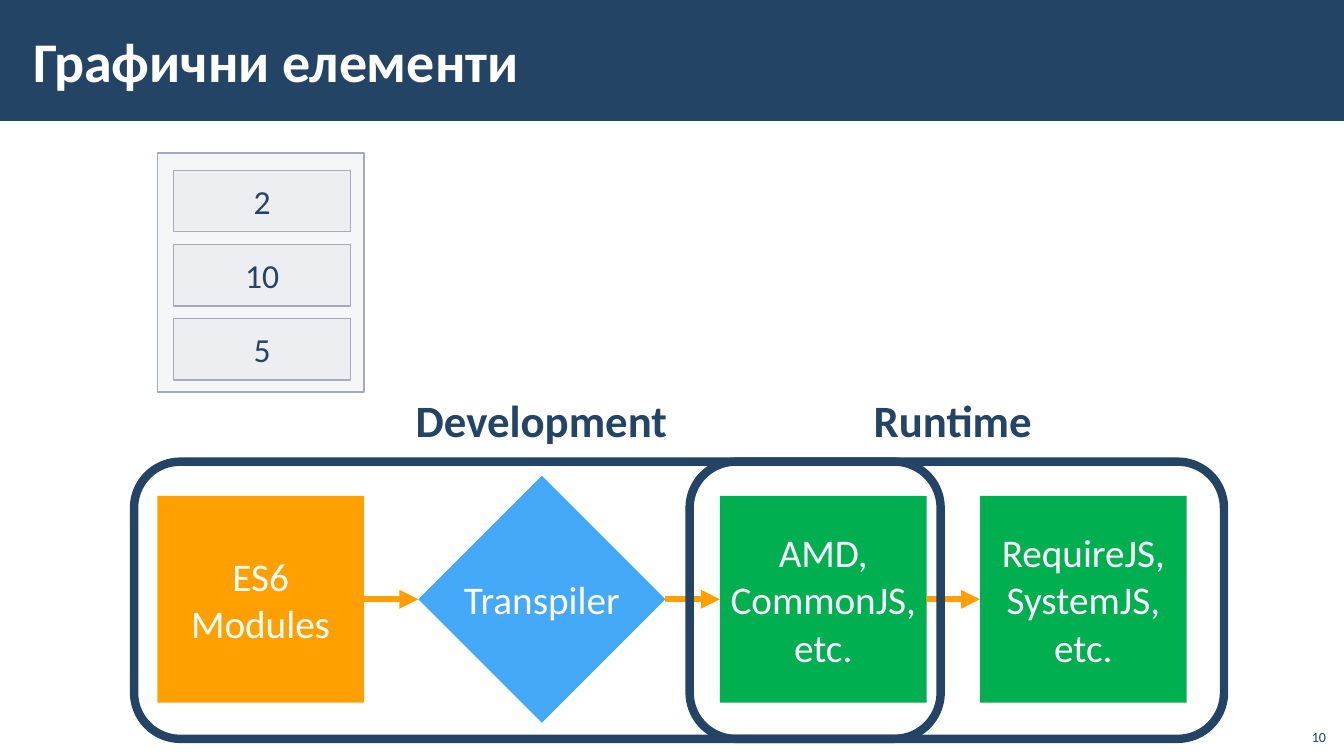
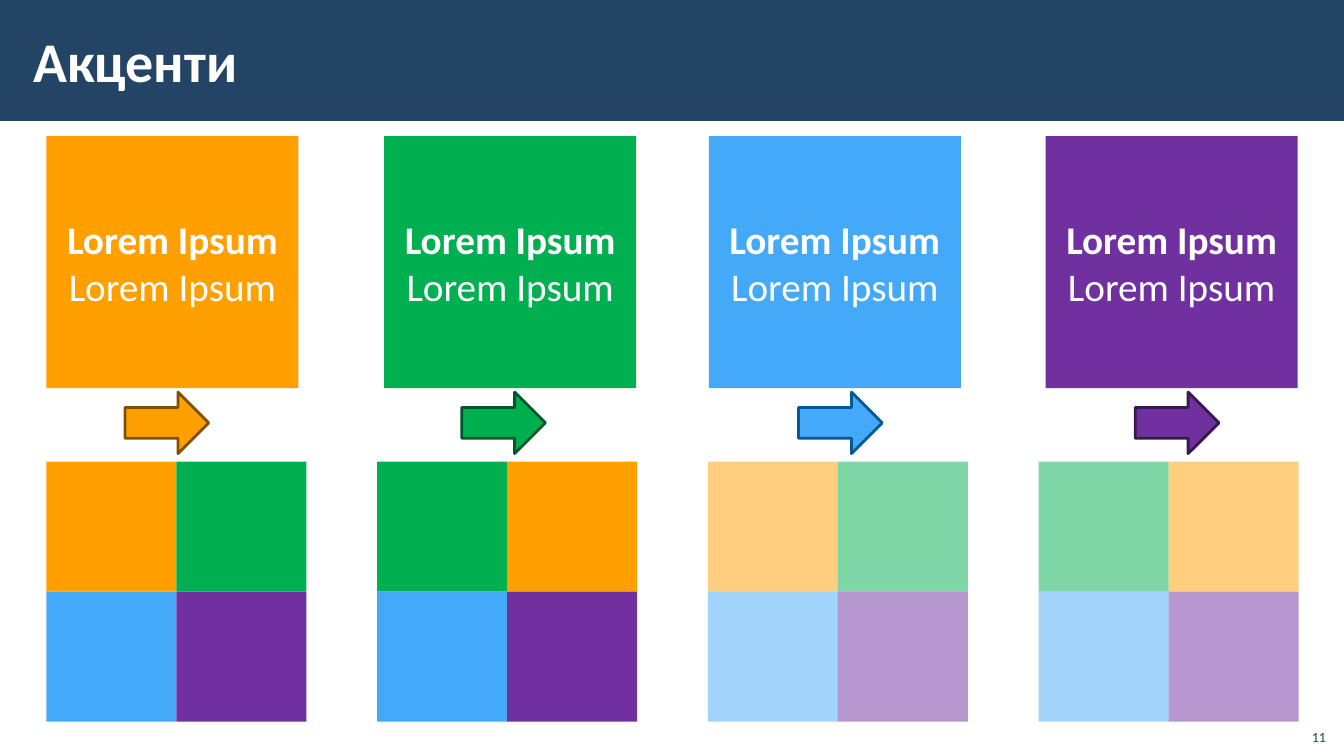
from dataclasses import dataclass
from typing import Optional

from pptx import Presentation
from pptx.dml.color import RGBColor
from pptx.enum.shapes import MSO_CONNECTOR, MSO_SHAPE as Preset
from pptx.enum.text import MSO_ANCHOR as Anchor, PP_ALIGN as Align
from pptx.oxml.ns import qn
from pptx.shapes.autoshape import Shape
from pptx.slide import Slide
from pptx.util import Inches, Pt
from lxml.etree import SubElement

FONT = "Calibri"
WHITE = RGBColor(0xFF, 0xFF, 0xFF)
NAVY = RGBColor(0x23, 0x44, 0x65)
ORANGE = RGBColor(0xFF, 0xA0, 0x00)
GREEN = RGBColor(0x00, 0xB0, 0x50)
BLUE = RGBColor(0x44, 0xA9, 0xF8)
PURPLE = RGBColor(0x70, 0x30, 0xA0)
DARK_ORANGE = RGBColor(0x80, 0x50, 0x00)
DARK_GREEN = RGBColor(0x00, 0x58, 0x28)
DARK_BLUE = RGBColor(0x06, 0x58, 0x98)
DARK_PURPLE = RGBColor(0x38, 0x18, 0x50)
PALE_GRAY = RGBColor(0xC2, 0xC7, 0xD2)
EDGE_GRAY = RGBColor(0xA3, 0xAB, 0xBC)


@dataclass(frozen=True)
class Area:
    left: float
    top: float
    width: float
    height: float

    def lengths(self) -> tuple:
        return tuple(Inches(n) for n in (self.left, self.top, self.width, self.height))


@dataclass(frozen=True)
class Paint:
    fill: Optional[RGBColor] = None
    opacity: int = 100
    line: Optional[RGBColor] = None
    weight: float = 1


@dataclass(frozen=True)
class Style:
    size: int
    color: RGBColor = WHITE
    bold: bool = False
    align: Align = Align.CENTER
    anchor: Anchor = Anchor.MIDDLE
    inset_x: float = 0.1
    inset_y: float = 0.05
    wrap: bool = True


@dataclass(frozen=True)
class Step:
    preset: Preset
    area: Area
    color: RGBColor
    lines: tuple
    wrap: bool = True


@dataclass(frozen=True)
class Accent:
    left: float
    color: RGBColor
    outline: RGBColor


@dataclass(frozen=True)
class Mosaic:
    colors: tuple
    opacity: int


TITLE = Style(40, bold=True, align=Align.LEFT, inset_x=0.12, inset_y=0.04)
PAGE_NUMBER = Style(10, NAVY, align=Align.RIGHT, anchor=Anchor.BOTTOM)
PHASE = Style(32, NAVY, bold=True, anchor=Anchor.TOP)
STACK_ITEM = Style(24, NAVY, inset_x=0.2, inset_y=0.1)
LABEL = Style(28)

STACK_PAINT = Paint(PALE_GRAY, 15, EDGE_GRAY)
FRAME_PAINT = Paint(line=NAVY, weight=6)

STEPS = (
    Step(Preset.RECTANGLE, Area(1.56, 4.92, 2.05, 2.05), ORANGE, ("ES6", "Modules")),
    Step(Preset.DIAMOND, Area(4.15, 4.72, 2.45, 2.45), BLUE, ("Transpiler",), wrap=False),
    Step(Preset.RECTANGLE, Area(7.14, 4.92, 2.05, 2.05), GREEN, ("AMD, CommonJS, etc.",)),
    Step(Preset.RECTANGLE, Area(9.72, 4.92, 2.05, 2.05), GREEN, ("RequireJS, SystemJS, etc.",)),
)
FRAMES = (Area(1.33, 4.58, 8, 2.75), Area(6.84, 4.58, 5.3, 2.75))
PHASES = (("Development", 3.91), ("Runtime", 7.99))

ACCENTS = (
    Accent(0.46, ORANGE, DARK_ORANGE),
    Accent(3.81, GREEN, DARK_GREEN),
    Accent(7.03, BLUE, DARK_BLUE),
    Accent(10.37, PURPLE, DARK_PURPLE),
)
ORANGE_FIRST = (ORANGE, GREEN, BLUE, PURPLE)
GREEN_FIRST = (GREEN, ORANGE, BLUE, PURPLE)
MOSAICS = (
    Mosaic(ORANGE_FIRST, 100),
    Mosaic(GREEN_FIRST, 100),
    Mosaic(ORANGE_FIRST, 50),
    Mosaic(GREEN_FIRST, 50),
)


def write_lines(box: Shape, lines: tuple, style: Style, bold_first: bool = False) -> None:
    frame = box.text_frame
    frame.word_wrap = style.wrap
    frame.vertical_anchor = style.anchor
    frame.margin_left = frame.margin_right = Inches(style.inset_x)
    frame.margin_top = frame.margin_bottom = Inches(style.inset_y)
    for index, line in enumerate(lines):
        para = frame.add_paragraph() if index else frame.paragraphs[0]
        para.alignment = style.align
        span = para.add_run()
        span.text = line
        span.font.name = FONT
        span.font.size = Pt(style.size)
        span.font.bold = style.bold or (bold_first and index == 0)
        span.font.color.rgb = style.color


def add_text(page: Slide, area: Area, text: str, style: Style) -> None:
    write_lines(page.shapes.add_textbox(*area.lengths()), (text,), style)


def add_figure(shapes, preset: Preset, area: Area, paint: Paint) -> Shape:
    figure = shapes.add_shape(preset, *area.lengths())
    figure.shadow.inherit = False
    if paint.fill is None:
        figure.fill.background()
    else:
        figure.fill.solid()
        figure.fill.fore_color.rgb = paint.fill
        if paint.opacity < 100:
            color = figure.fill._xPr.find(qn("a:solidFill")).find(qn("a:srgbClr"))
            SubElement(color, qn("a:alpha"), val=str(paint.opacity * 1000))
    if paint.line is None:
        figure.line.fill.background()
    else:
        figure.line.color.rgb = paint.line
        figure.line.width = Pt(paint.weight)
    return figure


def add_arrow(page: Slide, source: Shape, target: Shape) -> None:
    arrow = page.shapes.add_connector(MSO_CONNECTOR.STRAIGHT, 0, 0, 0, 0)
    arrow.begin_connect(source, 3)
    arrow.end_connect(target, 1)
    arrow.line.color.rgb = ORANGE
    arrow.line.width = Pt(4.5)
    SubElement(arrow.line._get_or_add_ln(), qn("a:tailEnd"), type="triangle")
    SubElement(arrow._element.spPr, qn("a:effectLst"))


def add_page(deck, title: str, number: int) -> Slide:
    page = deck.slides.add_slide(deck.slide_layouts[6])
    add_figure(page.shapes, Preset.RECTANGLE, Area(0, 0, 13.33, 1.2), Paint(NAVY))
    add_text(page, Area(0.21, 0.11, 11.23, 0.97), title, TITLE)
    add_text(page, Area(12.85, 7.12, 0.4, 0.32), str(number), PAGE_NUMBER)
    return page


def draw_stack(page: Slide) -> None:
    add_figure(page.shapes, Preset.RECTANGLE, Area(1.56, 1.52, 2.05, 2.37), STACK_PAINT)
    for index, value in enumerate(("2", "10", "5")):
        area = Area(1.72, 1.69 + 0.735 * index, 1.76, 0.61)
        item = add_figure(page.shapes, Preset.RECTANGLE, area, STACK_PAINT)
        write_lines(item, (value,), STACK_ITEM)


def draw_flow(page: Slide) -> None:
    boxes = []
    for step in STEPS:
        box = add_figure(page.shapes, step.preset, step.area, Paint(step.color))
        write_lines(box, step.lines, Style(28, inset_x=0.05, wrap=step.wrap))
        boxes.append(box)
    for source, target in zip(boxes, boxes[1:]):
        add_arrow(page, source, target)
    for area in FRAMES:
        add_figure(page.shapes, Preset.ROUNDED_RECTANGLE, area, FRAME_PAINT)
    for name, left in PHASES:
        add_text(page, Area(left, 3.85, 2.92, 0.64), name, PHASE)


def draw_accents(page: Slide) -> None:
    for index, accent in enumerate(ACCENTS):
        box = add_figure(page.shapes, Preset.RECTANGLE,
                         Area(accent.left, 1.35, 2.5, 2.5), Paint(accent.color))
        write_lines(box, ("Lorem Ipsum",) * 2, LABEL, bold_first=True)
        add_figure(page.shapes, Preset.RIGHT_ARROW,
                   Area(1.24 + 3.34 * index, 3.89, 0.83, 0.61),
                   Paint(accent.color, line=accent.outline, weight=2))


def draw_mosaics(page: Slide) -> None:
    side = 1.29
    for index, mosaic in enumerate(MOSAICS):
        group = page.shapes.add_group_shape()
        for cell, color in enumerate(mosaic.colors):
            row, column = divmod(cell, 2)
            area = Area(0.46 + 3.28 * index + side * column, 4.58 + side * row, side, side)
            add_figure(group.shapes, Preset.RECTANGLE, area, Paint(color, mosaic.opacity))


def main() -> None:
    deck = Presentation()
    deck.slide_width = Inches(13.33)
    deck.slide_height = Inches(7.5)

    elements_page = add_page(deck, "Графични елементи", 10)
    draw_stack(elements_page)
    draw_flow(elements_page)

    accents_page = add_page(deck, "Акценти", 11)
    draw_accents(accents_page)
    draw_mosaics(accents_page)

    deck.save("out.pptx")


if __name__ == "__main__":
    main()
